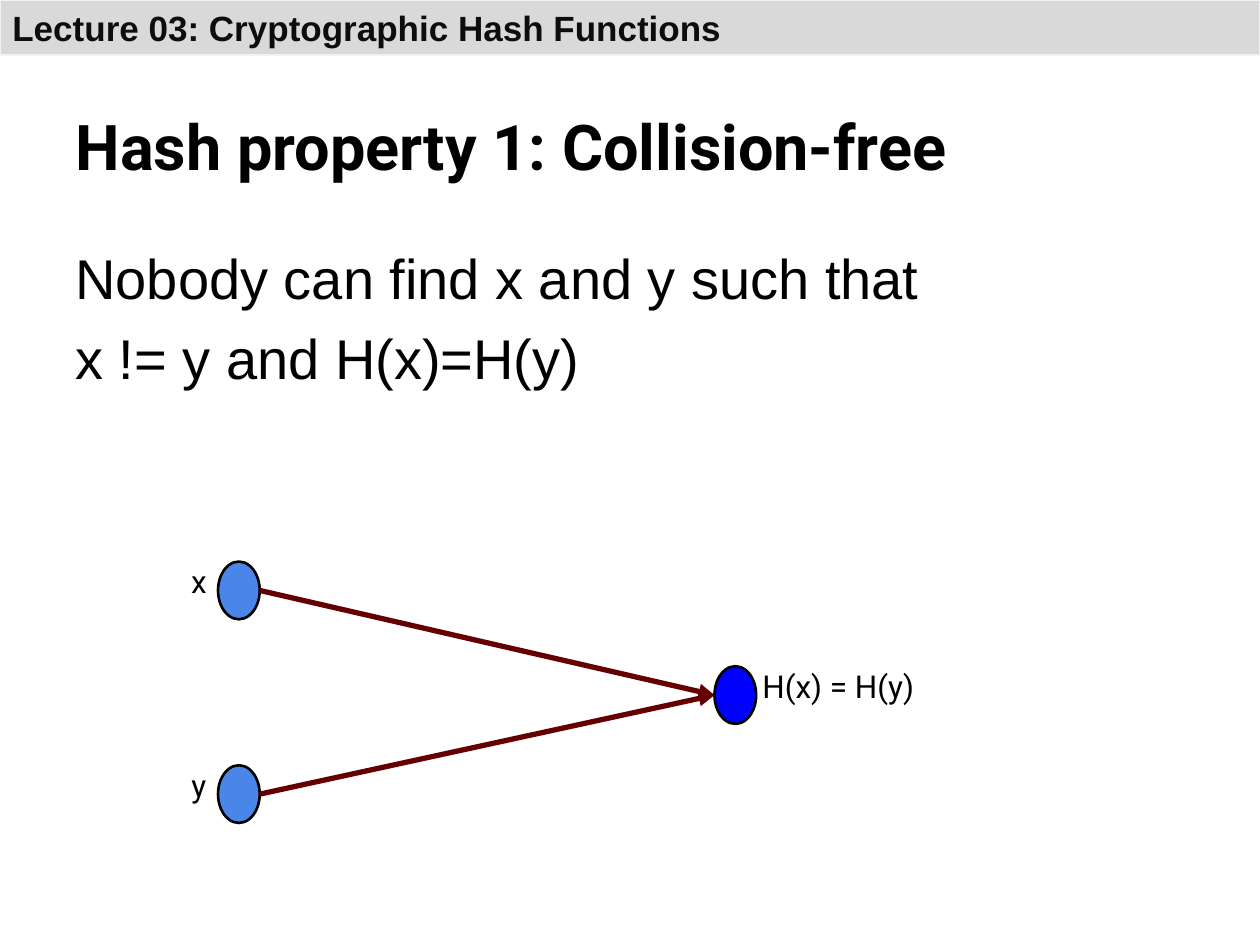
from lxml.etree import SubElement
from pptx import Presentation
from pptx.dml.color import RGBColor
from pptx.enum.shapes import MSO_CONNECTOR as Connector, MSO_SHAPE as Shape
from pptx.enum.text import MSO_ANCHOR as Anchor, MSO_AUTO_SIZE as AutoSize, PP_ALIGN as Align
from pptx.oxml.ns import qn
from pptx.util import Pt

COLORS = {name: RGBColor.from_string(value) for name, value in {
    "band": "D9D9D9", "band_edge": "F2F2F2", "band_text": "0D0D0D",
    "ink": "000000", "input": "4A86E8", "hash": "0000FF", "arrow": "660000",
}.items()}


def write(frame, text, size, font="Roboto", color="ink", bold=False,
          align=Align.LEFT, anchor=Anchor.TOP, inset=7.2, gap=0):
    """Fill a text frame, one paragraph per line, with gap points between them."""
    frame.word_wrap = True
    frame.auto_size = AutoSize.NONE
    frame.vertical_anchor = anchor
    frame.margin_left = frame.margin_right = Pt(7.2)
    frame.margin_top = frame.margin_bottom = Pt(inset)
    frame.text = text
    for number, paragraph in enumerate(frame.paragraphs):
        paragraph.alignment = align
        paragraph.space_before = Pt(gap if number else 0)
        paragraph.font.name = font
        paragraph.font.size = Pt(size)
        paragraph.font.bold = bold
        paragraph.font.color.rgb = COLORS[color]


def add_filled(kind, left, top, width, height, fill, edge, weight):
    shape = slide.shapes.add_shape(kind, Pt(left), Pt(top), Pt(width), Pt(height))
    shape.shadow.inherit = False
    shape.fill.solid()
    shape.fill.fore_color.rgb = COLORS[fill]
    shape.line.color.rgb = COLORS[edge]
    shape.line.width = Pt(weight)
    return shape


deck = Presentation()
deck.slide_width, deck.slide_height = Pt(720), Pt(540)
slide = deck.slides.add_slide(deck.slide_layouts[5])

# Lecture band, title and statement
band = add_filled(Shape.RECTANGLE, 0, 0, 720, 31.5, "band", "band_edge", 0.75)
write(band.text_frame, "Lecture 03: Cryptographic Hash Functions", 20, font="Arial",
      color="band_text", bold=True, anchor=Anchor.MIDDLE, inset=3.6)

title = slide.shapes.title
title.left, title.top, title.width, title.height = Pt(36), Pt(21.6), Pt(648), Pt(90)
write(title.text_frame, "Hash property 1: Collision-free", 36, bold=True,
      anchor=Anchor.BOTTOM)

statement = slide.shapes.add_textbox(Pt(36), Pt(132), Pt(648), Pt(385))
write(statement.text_frame, "Nobody can find x and y such that\nx != y and H(x)=H(y)",
      32, font="Arial", gap=7)

# Two inputs that meet in one hash value
NODE_WIDTH, NODE_HEIGHT = 23.8, 33
INPUT_LEFT, HASH_LEFT, HASH_MIDDLE = 124.6, 408.3, 397.2
LABEL_HEIGHT, LABEL_RISE = 48, 23.5

nodes = [
    ("x", INPUT_LEFT, 337.4, "input", 97.8, 31.7),
    ("y", INPUT_LEFT, 453.8, "input", 97.8, 31.7),
    ("H(x) = H(y)", HASH_LEFT, HASH_MIDDLE, "hash", 424, 110),
]
for text, left, middle, fill, label_left, label_width in nodes:
    add_filled(Shape.OVAL, left, middle - NODE_HEIGHT / 2, NODE_WIDTH, NODE_HEIGHT,
               fill, "ink", 1.5)
    label = slide.shapes.add_textbox(Pt(label_left), Pt(middle - LABEL_RISE),
                                     Pt(label_width), Pt(LABEL_HEIGHT))
    write(label.text_frame, text, 18, align=Align.CENTER)

    if fill == "input":
        arrow = slide.shapes.add_connector(
            Connector.STRAIGHT, Pt(left + NODE_WIDTH), Pt(middle),
            Pt(HASH_LEFT), Pt(HASH_MIDDLE))
        arrow.line.color.rgb = COLORS["arrow"]
        arrow.line.width = Pt(3)
        SubElement(arrow.line._get_or_add_ln(), qn("a:tailEnd"), type="triangle")
        SubElement(arrow._element.spPr, qn("a:effectLst"))

deck.save("out.pptx")
